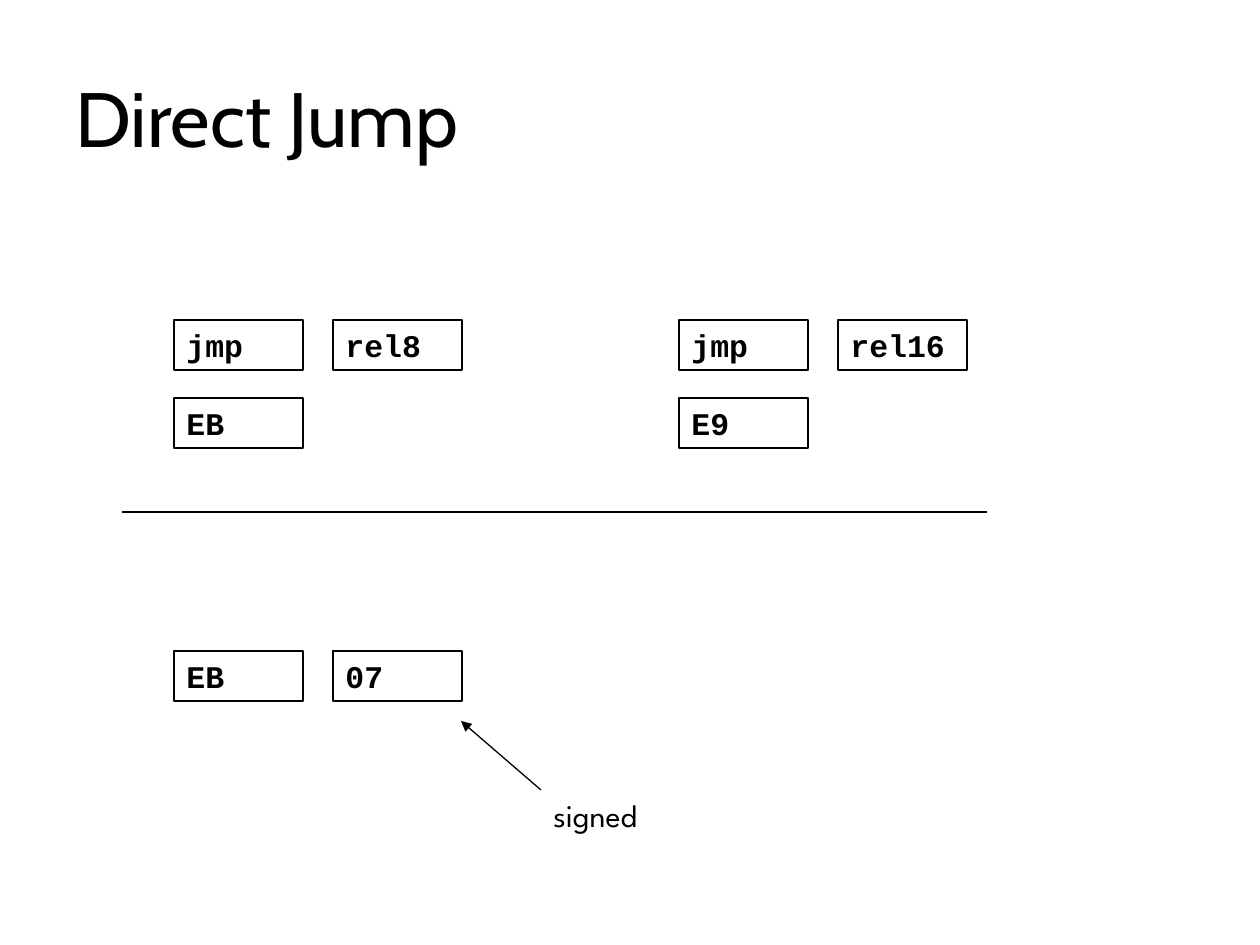
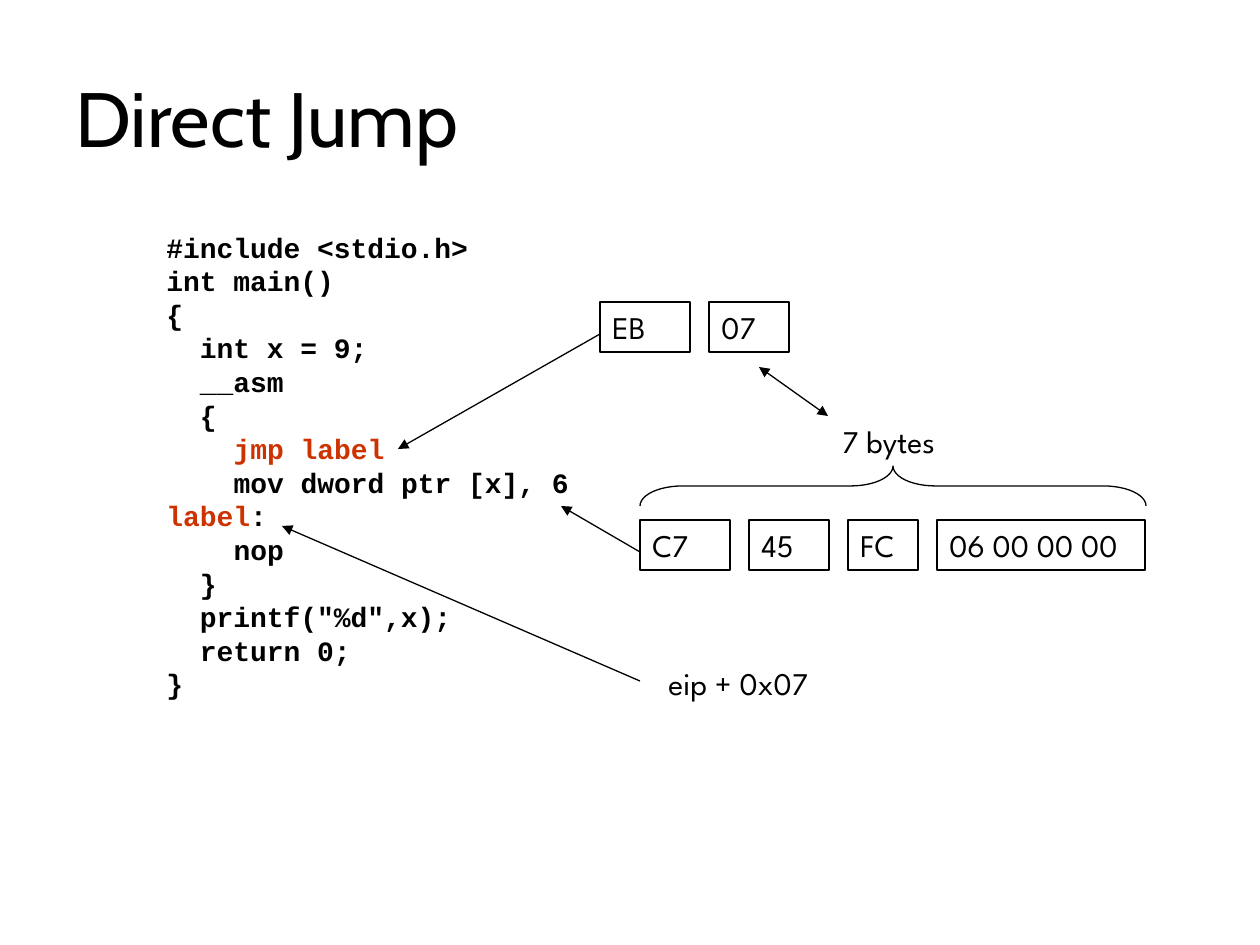
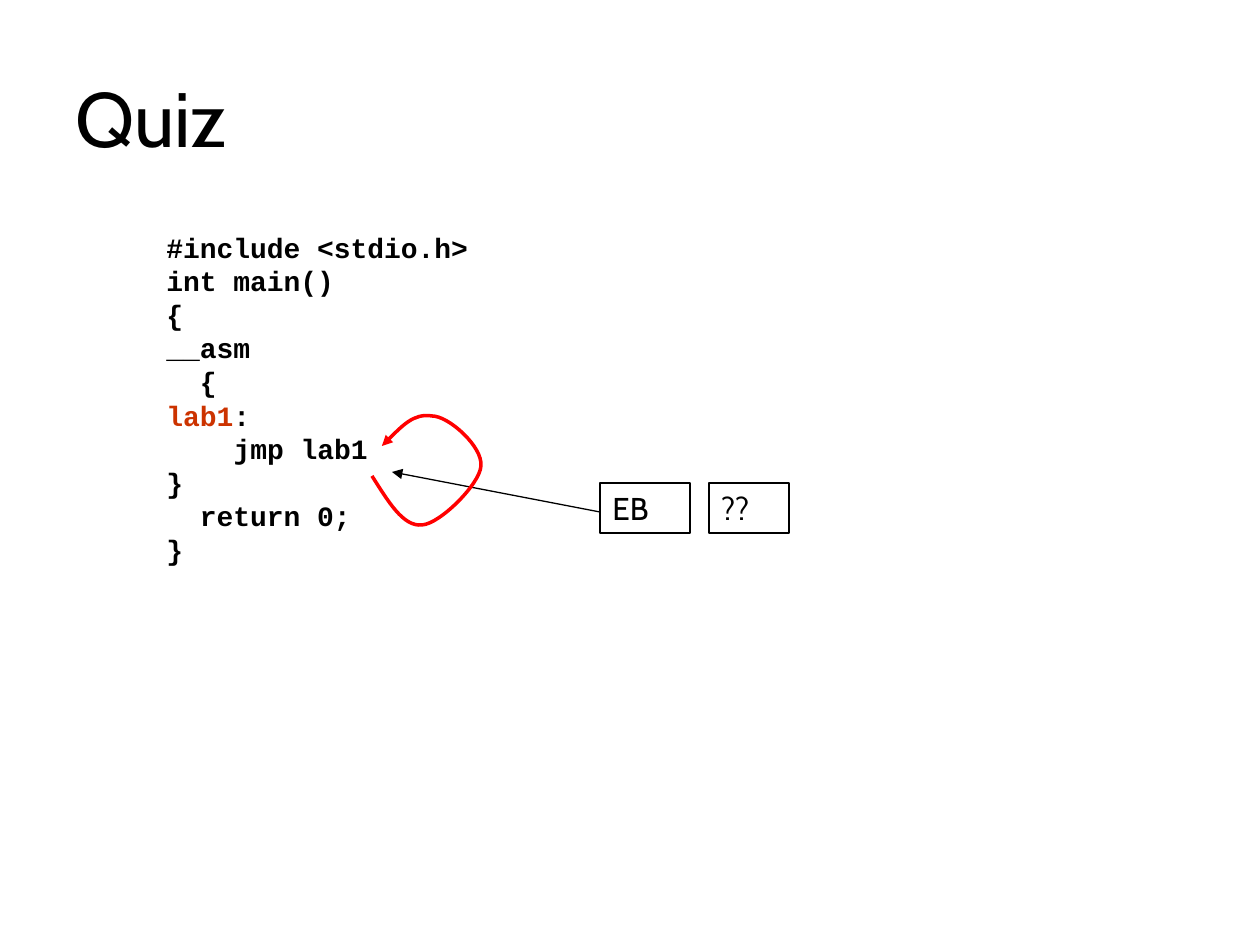
"""Build three slides on direct jumps in machine code."""
from dataclasses import dataclass

import lxml.etree
import pptx
import pptx.dml.color
import pptx.enum.shapes
import pptx.enum.text
import pptx.oxml
import pptx.oxml.ns
import pptx.util

PX = 914400 / 126
COLORS = {"ink": "000000", "label": "CC3300", "loop": "FF0000"}
TITLE, MONO, SANS = "Cabin", "Courier New", "League Spartan"
THIN, THICK = 0.74, 2
CODE_SIZE, BODY_SIZE = 16, 18
INDENT = pptx.util.Pt(CODE_SIZE * 0.6 * 2)
BOX_H, BYTE_GAP = 50, 19
SHAPES = pptx.enum.shapes.MSO_SHAPE


@dataclass
class Style:
    font: str
    size: float = BODY_SIZE
    bold: bool = False
    before: float = 0


@dataclass
class Row:
    left: int
    top: int
    cells: list[tuple[str, int]]
    style: Style
    gap: int = BYTE_GAP


@dataclass
class Arrow:
    start: tuple[int, int]
    end: tuple[int, int]
    head: bool = False
    tail: bool = True


@dataclass
class Code:
    level: int
    text: str
    marked: str = ""


OPCODE = Style(MONO, bold=True, before=11.2)
BYTES = Style(SANS)
CODE = Style(MONO, CODE_SIZE, bold=True)


def px(n: float) -> int:
    """Turn pixels into EMU."""
    return round(n * PX)


def rgb(name: str) -> pptx.dml.color.RGBColor:
    """Look up a colour."""
    return pptx.dml.color.RGBColor.from_string(COLORS[name])


def set_line(line, color: str = "ink", width: float = THIN, head: bool = False, tail: bool = False) -> None:
    """Colour a line and add its arrowheads."""
    line.color.rgb = rgb(color)
    line.width = pptx.util.Pt(width)
    ln = line._get_or_add_ln()
    for tag, wanted in (("a:headEnd", head), ("a:tailEnd", tail)):
        if wanted:
            end = lxml.etree.SubElement(ln, pptx.oxml.ns.qn(tag))
            end.set("type", "triangle")


def set_font(p, style: Style) -> None:
    """Style a whole paragraph."""
    p.font.name, p.font.size, p.font.bold = style.font, pptx.util.Pt(style.size), style.bold
    p.font.color.rgb = rgb("ink")
    p.alignment = pptx.enum.text.PP_ALIGN.LEFT
    if style.before:
        p.space_before = pptx.util.Pt(style.before)


def set_frame(tf, wrap: bool = True) -> None:
    """Anchor text at the top of a frame that fits it."""
    tf.word_wrap = wrap
    tf.auto_size = pptx.enum.text.MSO_AUTO_SIZE.SHAPE_TO_FIT_TEXT
    tf.vertical_anchor = pptx.enum.text.MSO_ANCHOR.TOP


def add_label(s, text: str, left: int, top: int, width: int, style: Style, wrap: bool = False) -> None:
    """Add a line of plain text."""
    tf = s.shapes.add_textbox(px(left), px(top), px(width), px(BOX_H)).text_frame
    set_frame(tf, wrap)
    p = tf.paragraphs[0]
    p.text = text
    set_font(p, style)


def add_row(s, row: Row) -> None:
    """Add outlined cells side by side."""
    left = row.left
    for text, width in row.cells:
        sp = s.shapes.add_shape(SHAPES.RECTANGLE, px(left), px(row.top), px(width), px(BOX_H))
        sp.shadow.inherit = False
        sp.fill.background()
        set_line(sp.line)
        set_frame(sp.text_frame)
        p = sp.text_frame.paragraphs[0]
        p.text = text
        set_font(p, row.style)
        left += width + row.gap


def add_line(s, arrow: Arrow) -> None:
    """Add a straight line or arrow."""
    c = s.shapes.add_connector(pptx.enum.shapes.MSO_CONNECTOR.STRAIGHT,
                               *map(px, arrow.start + arrow.end))
    set_line(c.line, head=arrow.head, tail=arrow.tail)
    lxml.etree.SubElement(c._element.spPr, pptx.oxml.ns.qn("a:effectLst"))


def add_code(s, lines: list[Code], height: int) -> None:
    """Add a listing with its labels marked."""
    tf = s.shapes.add_textbox(px(154), px(224), px(903), px(height)).text_frame
    set_frame(tf)
    for i, line in enumerate(lines):
        p = tf.add_paragraph() if i else tf.paragraphs[0]
        set_font(p, CODE)
        p._p.get_or_add_pPr().set("marL", str(INDENT * line.level))
        for text, color in ((line.marked, "label"), (line.text, "ink")):
            if text:
                r = p.add_run()
                r.text = text
                r.font.color.rgb = rgb(color)


def add_brace(s, left: int, top: int, width: int, height: int) -> None:
    """Add a brace that points up."""
    x, y = left + (width - height) / 2, top + (height - width) / 2
    sp = s.shapes.add_shape(SHAPES.LEFT_BRACE, px(x), px(y), px(height), px(width))
    sp.rotation = 90
    sp.adjustments[0] = 1.06
    sp.shadow.inherit = False
    sp.fill.background()
    set_line(sp.line)


def add_curve(s, points: list[tuple[int, int]]) -> None:
    """Add a cubic curve that ends in an arrowhead."""
    builder = s.shapes.build_freeform(*points[0], scale=PX)
    builder.add_line_segments(points[1:], close=False)
    sp = builder.convert_to_shape()
    sp.shadow.inherit = False
    sp.fill.background()
    set_line(sp.line, "loop", THICK, tail=True)
    steps = sp._element.xpath(".//a:lnTo")
    for i in range(0, len(steps), 3):
        curve = pptx.oxml.parse_xml(f'<a:cubicBezTo {pptx.oxml.ns.nsdecls("a")}/>')
        steps[i].addprevious(curve)
        for step in steps[i:i + 3]:
            curve.append(step[0])
            step.getparent().remove(step)


def add_slide(prs, title: str):
    """Add a blank slide with a title."""
    s = prs.slides.add_slide(prs.slide_layouts[6])
    tf = s.shapes.add_textbox(px(63), px(38), px(1134), px(157)).text_frame
    tf.word_wrap = True
    tf.vertical_anchor = pptx.enum.text.MSO_ANCHOR.MIDDLE
    p = tf.paragraphs[0]
    p.text = title
    set_font(p, Style(TITLE, 44))
    return s


def encoding_slide(prs) -> None:
    """Show the encodings of a direct jump."""
    s = add_slide(prs, "Direct Jump")
    add_line(s, Arrow((122, 512), (987, 512), tail=False))
    for left, top, texts in (
        (174, 320, ("jmp", "rel8")), (174, 398, ("EB",)),
        (679, 320, ("jmp", "rel16")), (679, 398, ("E9",)),
        (174, 651, ("EB", "07")),
    ):
        add_row(s, Row(left, top, [(text, 129) for text in texts], OPCODE, gap=30))
    add_line(s, Arrow((541, 790), (461, 721)))
    add_label(s, "signed", 541, 790, 139, Style(SANS, before=11.2), wrap=True)


def example_slide(prs) -> None:
    """Show a jump over one instruction."""
    s = add_slide(prs, "Direct Jump")
    add_code(s, [
        Code(0, "#include <stdio.h>"), Code(0, "int main()"), Code(0, "{"),
        Code(1, "int x = 9;"), Code(1, "__asm"), Code(1, "{"),
        Code(2, "", "jmp label"), Code(2, "mov dword ptr [x], 6"),
        Code(0, ":", "label"), Code(2, "nop"), Code(1, "}"),
        Code(1, 'printf("%d",x);'), Code(1, "return 0;"), Code(0, "}"),
    ], 483)
    add_row(s, Row(640, 520, [("C7", 90), ("45", 80), ("FC", 70), ("06 00 00 00", 208)], BYTES))
    add_row(s, Row(600, 302, [("EB", 90), ("07", 80)], BYTES))
    add_brace(s, 640, 466, 506, 40)
    add_label(s, "7 bytes", 830, 416, 131, BYTES)
    add_label(s, "eip + 0x07", 656, 658, 175, BYTES)
    for arrow in (
        Arrow((600, 334), (398, 449)), Arrow((759, 367), (828, 416), head=True),
        Arrow((640, 552), (561, 506)), Arrow((640, 681), (282, 526)),
    ):
        add_line(s, arrow)


def quiz_slide(prs) -> None:
    """Ask for the offset of a jump to itself."""
    s = add_slide(prs, "Quiz")
    add_code(s, [
        Code(0, "#include <stdio.h>"), Code(0, "int main()"), Code(0, "{"),
        Code(0, "__asm"), Code(1, "{"), Code(0, ":", "lab1"),
        Code(2, "jmp lab1"), Code(0, "}"), Code(1, "return 0;"), Code(0, "}"),
    ], 349)
    add_row(s, Row(600, 483, [("EB", 90), ("??", 80)], Style(TITLE)))
    add_line(s, Arrow((600, 512), (392, 472)))
    add_curve(s, [(372, 476), (388, 501), (403, 527), (422, 525), (440, 524), (480, 484),
                  (481, 466), (483, 447), (449, 416), (432, 416), (414, 413), (398, 430), (382, 446)])


def main() -> None:
    """Build and save the deck."""
    prs = pptx.Presentation()
    prs.slide_width, prs.slide_height = px(1260), px(945)
    encoding_slide(prs)
    example_slide(prs)
    quiz_slide(prs)
    prs.save("out.pptx")


main()
